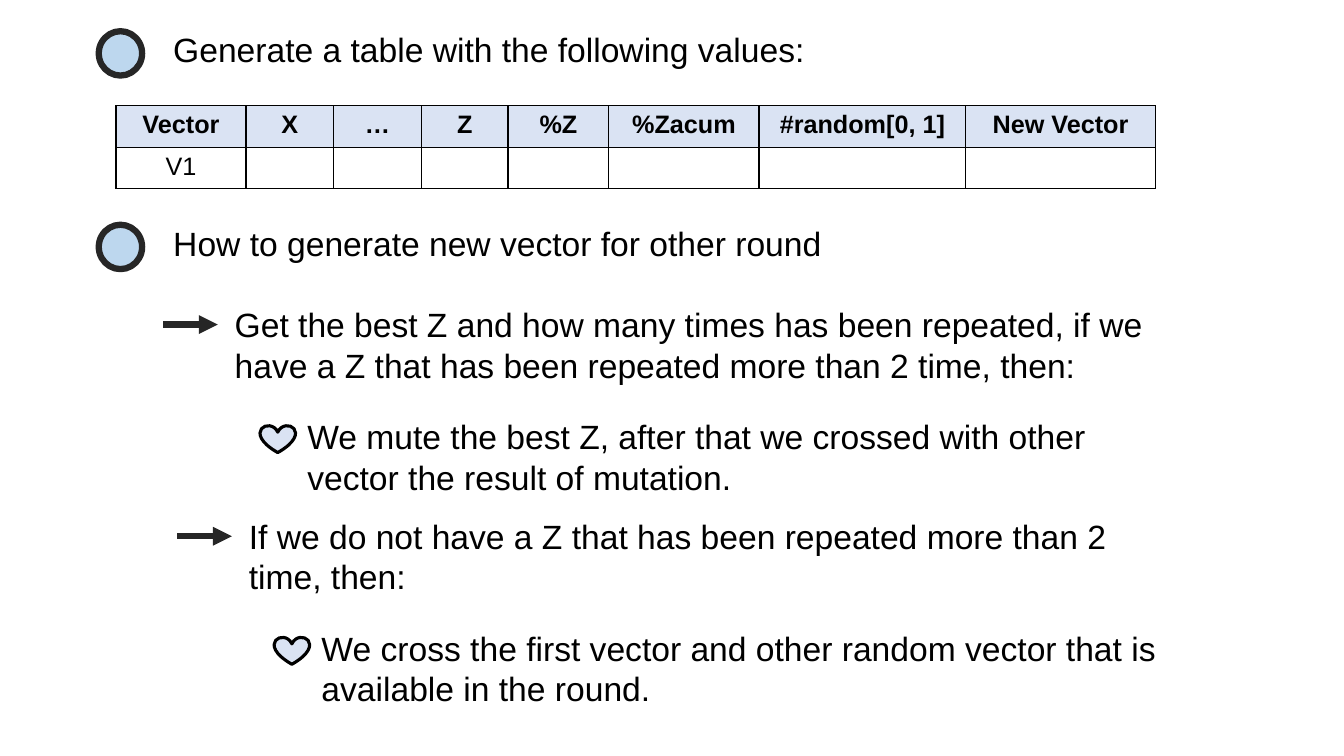
from lxml.etree import SubElement
from pptx import Presentation
from pptx.dml.color import RGBColor
from pptx.enum.shapes import MSO_CONNECTOR, MSO_SHAPE
from pptx.enum.text import PP_ALIGN
from pptx.oxml import parse_xml
from pptx.oxml.ns import nsdecls, qn
from pptx.util import Inches, Pt

COLORS = {
    "text": "000000",
    "outline": "262626",
    "bullet": "BDD7EE",
    "pale": "DAE3F3",
    "border": "000000",
}
FONT = "Arial"
HEADERS = ["Vector", "X", "…", "Z", "%Z", "%Zacum", "#random[0, 1]", "New Vector"]
FIRST_ROW = ["V1"] + [""] * 7
COLUMN_WIDTHS = [1.29, 0.87, 0.87, 0.86, 1, 1.49, 2.05, 1.88]
ROW_HEIGHT = 0.41


def color(name):
    return RGBColor.from_string(COLORS[name])


def format_runs(paragraph, size, bold=False):
    for run in paragraph.runs:
        run.font.name = FONT
        run.font.size = Pt(size)
        run.font.bold = bold
        run.font.color.rgb = color("text")


def add_text(slide, left, top, width, height, text):
    box = slide.shapes.add_textbox(Inches(left), Inches(top), Inches(width), Inches(height))
    box.text_frame.word_wrap = True
    box.text_frame.text = text
    format_runs(box.text_frame.paragraphs[0], 24)


def add_marker(slide, kind, left, top, width, height, fill, line, weight):
    shape = slide.shapes.add_shape(kind, Inches(left), Inches(top), Inches(width), Inches(height))
    shape.shadow.inherit = False
    shape.fill.solid()
    shape.fill.fore_color.rgb = color(fill)
    shape.line.color.rgb = color(line)
    shape.line.width = Pt(weight)


def add_arrow(slide, left, top, length):
    arrow = slide.shapes.add_connector(
        MSO_CONNECTOR.STRAIGHT, Inches(left), Inches(top), Inches(left + length), Inches(top)
    )
    arrow.line.color.rgb = color("outline")
    arrow.line.width = Pt(4.5)
    SubElement(arrow.line._get_or_add_ln(), qn("a:tailEnd"), type="triangle")
    SubElement(arrow._element.spPr, qn("a:effectLst"))


def add_heading(slide, left, top, text):
    add_marker(slide, MSO_SHAPE.OVAL, left, top + 0.07, 0.43, 0.44, "bullet", "outline", 4.5)
    add_text(slide, left + 0.64, top, 9.23, 0.5, text)


def add_case(slide, left, top, condition, action):
    add_arrow(slide, left, top + 0.25, 0.54)
    add_text(slide, left + 0.61, top, 9.23, 0.91, condition)
    add_marker(slide, MSO_SHAPE.HEART, left + 0.96, top + 1.25, 0.35, 0.27, "pale", "border", 2.25)
    add_text(slide, left + 1.33, top + 1.11, 8.51, 0.91, action)


def set_borders(cell):
    properties = cell._tc.get_or_add_tcPr()
    for position, side in enumerate(("lnL", "lnR", "lnT", "lnB")):
        border = parse_xml(
            f'<a:{side} {nsdecls("a")} w="{Pt(1)}"><a:solidFill>'
            f'<a:srgbClr val="{COLORS["border"]}"/></a:solidFill></a:{side}>'
        )
        properties.insert(position, border)


def add_vector_table(slide, left, top):
    rows = [HEADERS, FIRST_ROW]
    table = slide.shapes.add_table(
        len(rows), len(HEADERS), Inches(left), Inches(top),
        Inches(sum(COLUMN_WIDTHS)), Inches(ROW_HEIGHT * len(rows)),
    ).table
    for column, width in zip(table.columns, COLUMN_WIDTHS):
        column.width = Inches(width)
    for row_index, values in enumerate(rows):
        is_header = row_index == 0
        table.rows[row_index].height = Inches(ROW_HEIGHT)
        for column_index, value in enumerate(values):
            cell = table.cell(row_index, column_index)
            cell.text_frame.text = value
            paragraph = cell.text_frame.paragraphs[0]
            paragraph.alignment = PP_ALIGN.CENTER
            format_runs(paragraph, 18, bold=is_header)
            if is_header:
                cell.fill.solid()
                cell.fill.fore_color.rgb = color("pale")
            else:
                cell.fill.background()
            set_borders(cell)


def build_slide(presentation):
    slide = presentation.slides.add_slide(presentation.slide_layouts[6])
    add_heading(slide, 0.98, 0.24, "Generate a table with the following values:")
    add_vector_table(slide, 1.15, 1.05)
    add_heading(slide, 0.98, 2.16, "How to generate new vector for other round")
    add_case(
        slide, 1.62, 2.97,
        "Get the best Z and how many times has been repeated, if we have a Z "
        "that has been repeated more than 2 time, then:",
        "We mute the best Z, after that we crossed with other vector the result of mutation.",
    )
    add_case(
        slide, 1.76, 5.07,
        "If we do not have a Z that has been repeated more than 2 time, then:",
        "We cross the first vector and other random vector that is available in the round.",
    )


presentation = Presentation()
presentation.slide_width = Inches(13.33)
presentation.slide_height = Inches(7.5)
build_slide(presentation)
presentation.save("out.pptx")
